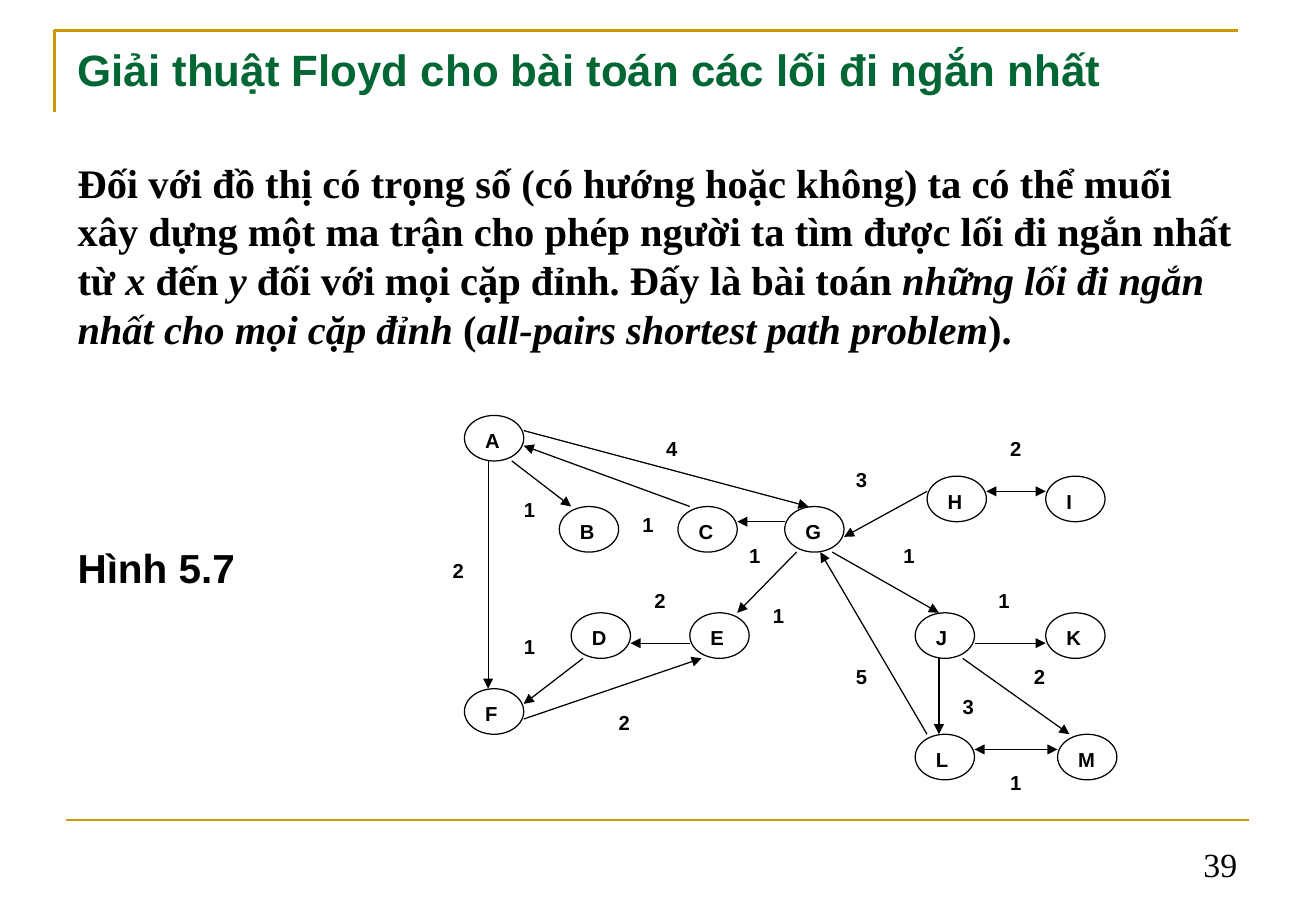
from pptx import Presentation
from pptx.dml.color import RGBColor
from pptx.enum.shapes import MSO_CONNECTOR as CONN, MSO_SHAPE as SHAPE
from pptx.enum.text import MSO_ANCHOR as ANCHOR, PP_ALIGN as ALIGN
from pptx.oxml.ns import qn
from pptx.util import Inches, Pt
from lxml.etree import SubElement

COLORS = {"gold": "CC9900", "green": "006633", "black": "000000", "white": "FFFFFF"}
SANS, SERIF = "Arial", "Times New Roman"
SLIDE_W, SLIDE_H = 10.84, 7.5
LEFT, WIDTH = 0.54, 9.75
COLS, ROWS = 57, 26  # grid of the graph

# Left column and top row of each node; a node is NODE_COLS by NODE_ROWS
NODE_COLS, NODE_ROWS = 5, 3
NODES = {
    "A": (2, 0), "B": (10, 6), "C": (20, 6), "G": (29, 6), "H": (41, 4),
    "I": (51, 4), "D": (11, 13), "E": (21, 13), "J": (40, 13), "K": (51, 13),
    "F": (2, 18), "L": (40, 21), "M": (52, 21),
}
# Start column and row, end column and row
ONE_WAY = [
    (4, 3, 4, 18), (6, 3, 11, 6), (21, 6, 7, 2), (7, 1, 31, 6),
    (12, 16, 7, 19), (21, 15, 16, 15), (7, 20, 22, 16), (30, 9, 25, 13),
    (45, 15, 51, 15), (42, 16, 42, 21), (44, 16, 53, 21), (29, 7, 25, 7),
    (41, 5, 34, 8), (33, 9, 42, 13), (41, 21, 32, 9),
]
TWO_WAY = [(46, 5, 51, 5), (45, 22, 52, 22)]
# Weight, then column, row, columns and rows of its label
WEIGHTS = [
    ("2", 47, 1, 3, 3), ("3", 34, 3, 3, 3), ("1", 25, 8, 3, 2),
    ("1", 46, 11, 4, 3), ("1", 27, 12, 4, 2), ("4", 18, 1, 4, 2),
    ("2", 0, 9, 3, 3), ("5", 34, 16, 3, 3), ("3", 43, 18, 3, 2),
    ("2", 49, 16, 3, 2), ("1", 47, 23, 3, 3), ("2", 17, 11, 3, 3),
    ("2", 14, 19, 4, 3), ("1", 6, 14, 3, 3), ("1", 38, 8, 3, 3),
    ("1", 16, 6, 3, 3), ("1", 6, 5, 3, 2),
]
# Text and whether it is italic
INTRO = [
    ("Đối với đồ thị có trọng số (có hướng hoặc không) ta có thể muối xây dựng "
     "một ma trận cho phép người ta tìm được lối đi ngắn nhất từ ", False),
    ("x", True), (" đến ", False), ("y", True),
    (" đối với mọi cặp đỉnh. Đấy là bài toán ", False),
    ("những lối đi ngắn nhất cho mọi cặp đỉnh", True), (" (", False),
    ("all-pairs shortest path problem", True), (").", False),
]


def rgb(name):
    return RGBColor.from_string(COLORS[name])


def write(s, runs, size, font=SANS, color="black", bold=True,
          align=ALIGN.LEFT, anchor=ANCHOR.TOP):
    """Fill a shape with one paragraph of (text, italic) runs."""
    tf = s.text_frame
    tf.word_wrap = True
    tf.vertical_anchor = anchor
    p = tf.paragraphs[0]
    p.alignment = align
    for text, italic in runs:
        r = p.add_run()
        r.text = text
        r.font.size, r.font.name = Pt(size), font
        r.font.bold, r.font.italic = bold, italic
        r.font.color.rgb = rgb(color)


def add_text(slide, box, runs, size, **style):
    s = slide.shapes.add_textbox(*map(Inches, box))
    write(s, runs, size, **style)


def add_line(shapes, ends, color, width, arrows=()):
    s = shapes.add_connector(CONN.STRAIGHT, *map(Inches, ends))
    s.line.color.rgb = rgb(color)
    s.line.width = Pt(width)
    for arrow in arrows:
        SubElement(s.line._get_or_add_ln(), qn(f"a:{arrow}"), type="triangle")
    SubElement(s._element.spPr, qn("a:effectLst"))


def add_frame(slide, left, top, width, height):
    """Draw the gold corner at the top and the gold rule above the footer."""
    corner = slide.shapes.build_freeform(Inches(left), Inches(top + height))
    corner.add_line_segments(
        [(Inches(left), Inches(top)), (Inches(left + width), Inches(top))], close=False)
    s = corner.convert_to_shape()
    s.shadow.inherit = False
    s.fill.background()
    s.line.color.rgb = rgb("gold")
    s.line.width = Pt(1.5)
    rule_y = 0.9 * SLIDE_H
    add_line(slide.shapes, (LEFT, rule_y, LEFT + WIDTH, rule_y), "gold", 1.5)


def add_title(slide, box, text):
    s = slide.shapes.title
    s.left, s.top, s.width, s.height = map(Inches, box)
    write(s, [(text, False)], 26, color="green")


def add_graph(slide, left, top, width, height):
    shapes = slide.shapes.add_group_shape().shapes
    col, row = width / COLS, height / ROWS

    def place(c, r):
        return left + c * col, top + r * row

    def add_cell(kind, text, c, r, cols, rows):
        s = shapes.add_shape(kind, *map(Inches, (*place(c, r), cols * col, rows * row)))
        s.shadow.inherit = False
        s.fill.solid()
        s.fill.fore_color.rgb = rgb("white")
        s.line.fill.background()
        write(s, [(text, False)], 12)
        return s

    for name, spot in NODES.items():
        s = add_cell(SHAPE.OVAL, name, *spot, NODE_COLS, NODE_ROWS)
        s.line.color.rgb = rgb("black")
        s.line.width = Pt(0.75)
    for edges, arrows in ((ONE_WAY, ["tailEnd"]), (TWO_WAY, ["headEnd", "tailEnd"])):
        for c1, r1, c2, r2 in edges:
            add_line(shapes, place(c1, r1) + place(c2, r2), "black", 0.75, arrows)
    for weight in WEIGHTS:
        add_cell(SHAPE.RECTANGLE, *weight)


def main():
    prs = Presentation()
    prs.slide_width, prs.slide_height = Inches(SLIDE_W), Inches(SLIDE_H)
    slide = prs.slides.add_slide(prs.slide_layouts[5])
    add_frame(slide, 0.45, 0.25, WIDTH, 0.67)
    add_title(slide, (LEFT, 0.3, WIDTH, 0.43),
              "Giải thuật Floyd cho bài toán các lối đi ngắn nhất")
    add_text(slide, (LEFT, 1.25, WIDTH, 1.7), INTRO, 24, font=SERIF)
    add_graph(slide, 3.63, 3.42, 5.57, 3.25)
    add_text(slide, (LEFT, 4.42, 2.62, 0.5), [("Hình 5.7", False)], 24)
    add_text(slide, (7.76, 6.83, 2.53, 0.5), [("39", False)], 20, font=SERIF,
             bold=False, align=ALIGN.RIGHT, anchor=ANCHOR.BOTTOM)
    prs.save("out.pptx")


if __name__ == "__main__":
    main()
